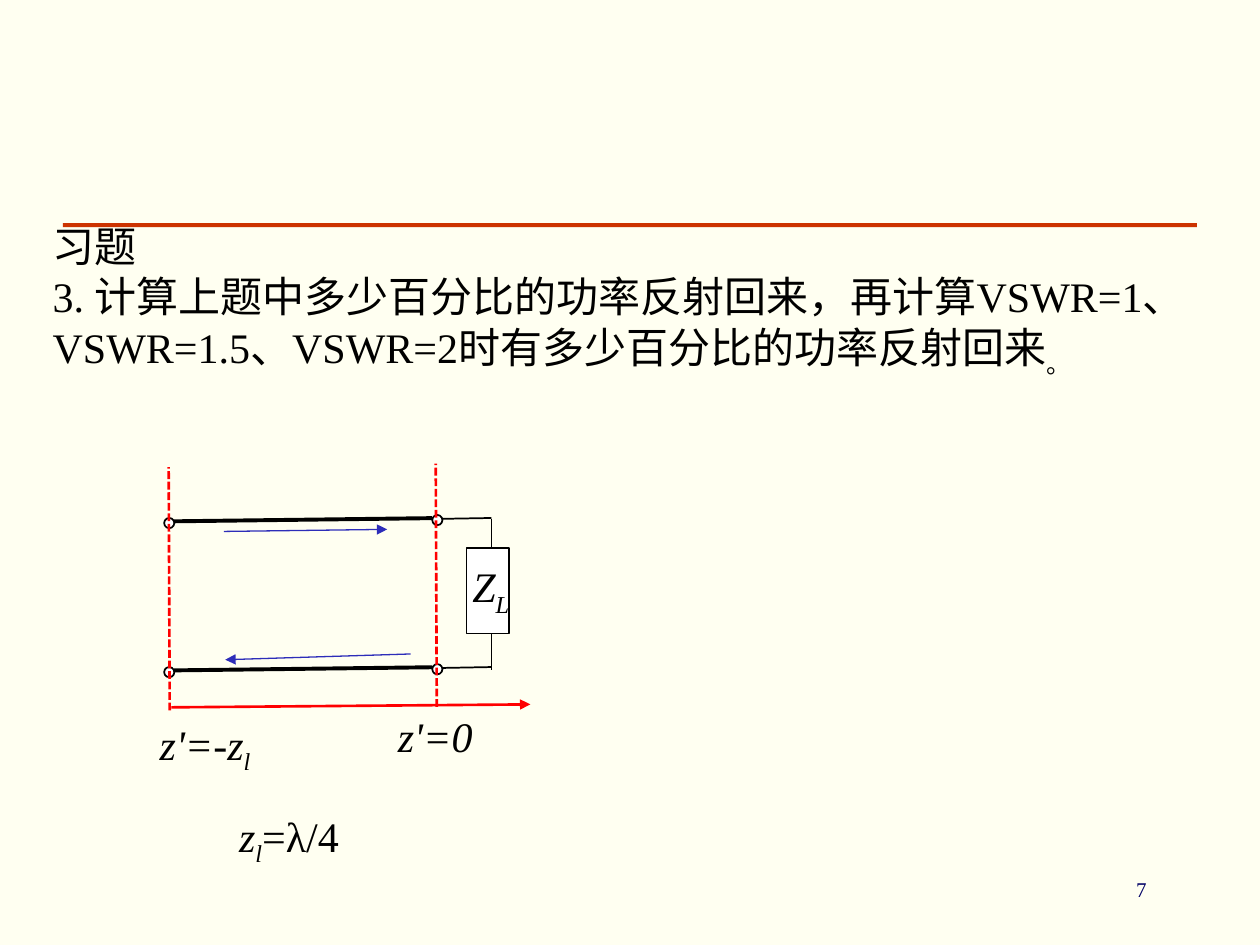
from dataclasses import dataclass
from typing import Optional

from lxml.etree import SubElement
from pptx import Presentation
from pptx.dml.color import RGBColor
from pptx.enum.dml import MSO_LINE
from pptx.enum.shapes import MSO_CONNECTOR, MSO_SHAPE
from pptx.oxml.ns import qn
from pptx.util import Pt

BLACK, WHITE, RED, BLUE = "000000", "FFFFFF", "FF0000", "2D2DB9"
FONT_NAME = "Times New Roman"
RAIL_GAP = 85.2
TERMINAL_SIZE = 5.8


@dataclass
class Segment:
    start: tuple[float, float]
    end: tuple[float, float]
    color: str = BLACK
    width: float = 1
    dashed: bool = False
    arrow: bool = False


@dataclass
class Run:
    text: str
    italic: bool = False
    subscript: bool = False


@dataclass
class Label:
    left: float
    top: float
    width: float
    height: float
    paragraphs: list[list[Run]]


def color_of(value: str) -> RGBColor:
    return RGBColor.from_string(value)


def draw_segment(slide, segment: Segment) -> None:
    points = [Pt(value) for value in (*segment.start, *segment.end)]
    connector = slide.shapes.add_connector(MSO_CONNECTOR.STRAIGHT, *points)
    connector.line.color.rgb = color_of(segment.color)
    connector.line.width = Pt(segment.width)
    if segment.dashed:
        connector.line.dash_style = MSO_LINE.SQUARE_DOT
    if segment.arrow:
        SubElement(connector.line._get_or_add_ln(), qn("a:tailEnd"), type="triangle")
    SubElement(connector._element.spPr, qn("a:effectLst"))


def draw_shape(slide, kind, left: float, top: float, width: float, height: float,
               fill: str = WHITE, line_width: Optional[float] = None) -> None:
    """Draw a filled shape, with a black outline only if line_width is given."""
    shape = slide.shapes.add_shape(kind, Pt(left), Pt(top), Pt(width), Pt(height))
    shape.shadow.inherit = False
    shape.fill.solid()
    shape.fill.fore_color.rgb = color_of(fill)
    if line_width is None:
        shape.line.fill.background()
    else:
        shape.line.color.rgb = color_of(BLACK)
        shape.line.width = Pt(line_width)


def add_run(paragraph, text: str, *, size: float = 24, color: str = BLACK,
            italic: bool = False, subscript: bool = False) -> None:
    run = paragraph.add_run()
    run.text = text
    run.font.name = FONT_NAME
    run.font.size = Pt(size)
    run.font.italic = italic
    run.font.color.rgb = color_of(color)
    if subscript:
        run.font._element.set("baseline", "-25000")


def draw_label(slide, label: Label, *, size: float = 24, color: str = BLACK) -> None:
    box = slide.shapes.add_textbox(Pt(label.left), Pt(label.top),
                                   Pt(label.width), Pt(label.height))
    frame = box.text_frame
    frame.word_wrap = True
    for index, runs in enumerate(label.paragraphs):
        paragraph = frame.add_paragraph() if index else frame.paragraphs[0]
        for run in runs:
            add_run(paragraph, run.text, size=size, color=color,
                    italic=run.italic, subscript=run.subscript)


def draw_rail(slide, offset: float) -> None:
    """Draw one conductor with its two terminals and the stub to the load."""
    draw_segment(slide, Segment((99.4, 297.9 + offset), (247, 296.1 + offset), width=2.25))
    draw_segment(slide, Segment((252.7, 296.5 + offset), (280.8, 296 + offset)))
    for left, top in ((247, 294.3), (93.8, 296)):
        draw_shape(slide, MSO_SHAPE.OVAL, left, top + offset,
                   TERMINAL_SIZE, TERMINAL_SIZE, line_width=1)


def draw_circuit(slide) -> None:
    for offset in (0, RAIL_GAP):
        draw_rail(slide, offset)
    draw_segment(slide, Segment((280.8, 296.4), (280.8, 382.6)))
    draw_shape(slide, MSO_SHAPE.RECTANGLE, 266.4, 313.2, 24.5, 49, line_width=0.75)


AXES_AND_WAVES = [
    Segment((97.9, 404.2), (303.1, 402.5), RED, 1.5, arrow=True),
    Segment((97, 406), (96.4, 267), RED, 1.5, dashed=True),
    Segment((249.6, 404), (249, 265), RED, 1.5, dashed=True),
    Segment((128, 303.7), (221.3, 302.5), BLUE, 0.75, arrow=True),
    Segment((234.7, 373.7), (128.7, 377), BLUE, 0.75, arrow=True),
]

LABELS = [
    Label(262.8, 316.8, 96.5, 36, [[Run("Z", True), Run("L", True, True)]]),
    Label(84.2, 406.8, 96.5, 36, [[Run("z'=-z", True), Run("l", True, True)]]),
    Label(220.3, 402.5, 96.5, 36, [[Run("z'=0", True)]]),
    Label(129.6, 459.4, 153.4, 36,
          [[Run("z", True), Run("l", True, True), Run("=λ/4")]]),
    Label(23, 122.4, 671.8, 94.3, [
        [Run("习题")],
        [Run("3. 计算上题中多少百分比的功率反射回来，再计算"
             "VSWR=1、 VSWR=1.5、VSWR=2时有多少百分比的功率反射回来"),
         Run("。", subscript=True)],
    ]),
]

PAGE_NUMBER = Label(642.2, 497.5, 28.8, 21.6, [[Run("7")]])


def main() -> None:
    presentation = Presentation()
    presentation.slide_width, presentation.slide_height = Pt(720), Pt(540)
    slide = presentation.slides.add_slide(presentation.slide_layouts[6])
    slide.background.fill.solid()
    slide.background.fill.fore_color.rgb = color_of("FFFFF1")

    draw_label(slide, PAGE_NUMBER, size=12, color="000066")
    draw_shape(slide, MSO_SHAPE.RECTANGLE, 36, 127.5, 648, 2.3, fill="CC3300")
    draw_circuit(slide)
    for segment in AXES_AND_WAVES:
        draw_segment(slide, segment)
    for label in LABELS:
        draw_label(slide, label)
    presentation.save("out.pptx")


if __name__ == "__main__":
    main()
